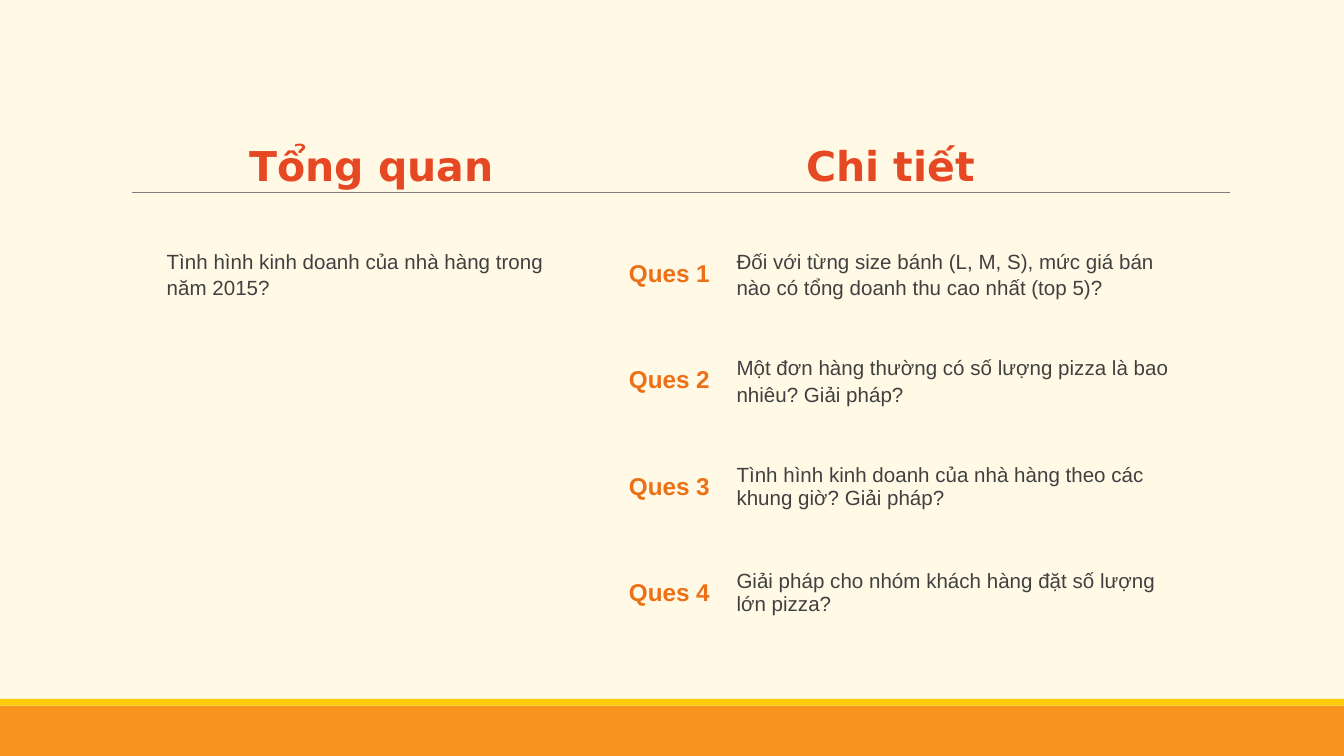
from dataclasses import dataclass

from lxml.etree import SubElement
from pptx import Presentation
from pptx.dml.color import RGBColor
from pptx.enum.shapes import MSO_CONNECTOR, MSO_SHAPE
from pptx.enum.text import MSO_ANCHOR, PP_ALIGN
from pptx.oxml.ns import qn
from pptx.util import Inches, Pt

WIDTH = 10
HEIGHT = WIDTH * 9 / 16
TABLE_LEFT, TABLE_TOP, TABLE_HEIGHT = 1.14, 0.85, 3.96
COLUMNS = (3.25, 0.99, 3.48)
ROW_COUNT = 5
PLAIN_TABLE_STYLE = "{2D5ABB26-0587-4C30-8999-92F81FD0307C}"


@dataclass(frozen=True)
class TextStyle:
    size: float
    font: str
    color: str
    bold: bool
    align: PP_ALIGN


@dataclass(frozen=True)
class Entry:
    row: int
    column: int
    text: str
    style: TextStyle
    spacing: float = 1.0


@dataclass(frozen=True)
class Band:
    top: float
    bottom: float
    color: str


HEADING = TextStyle(22, "DejaVu Sans", "E64823", True, PP_ALIGN.CENTER)
LABEL = TextStyle(13, "Arial", "EC7016", True, PP_ALIGN.RIGHT)
BODY = TextStyle(11, "Arial", "404040", False, PP_ALIGN.LEFT)

BANDS = (Band(5.25, HEIGHT, "F8931D"), Band(5.2, 5.25, "FFCA08"))
QUESTIONS = (
    ("Đối với từng size bánh (L, M, S), mức giá bán nào có tổng doanh thu cao nhất (top 5)?", 1.15),
    ("Một đơn hàng thường có số lượng pizza là bao nhiêu? Giải pháp?", 1.15),
    ("Tình hình kinh doanh của nhà hàng theo các khung giờ? Giải pháp?", 1.0),
    ("Giải pháp cho nhóm khách hàng đặt số lượng lớn pizza?", 1.0),
)


def color(value: str) -> RGBColor:
    return RGBColor.from_string(value)


def draw_band(page, band: Band) -> None:
    shape = page.shapes.add_shape(
        MSO_SHAPE.RECTANGLE, 0, Inches(band.top),
        Inches(WIDTH), Inches(band.bottom - band.top))
    shape.shadow.inherit = False
    shape.fill.solid()
    shape.fill.fore_color.rgb = color(band.color)
    shape.line.fill.background()


def draw_rule(page, left: float, right: float, top: float) -> None:
    rule = page.shapes.add_connector(
        MSO_CONNECTOR.STRAIGHT, Inches(left), Inches(top), Inches(right), Inches(top))
    rule.line.color.rgb = color("808080")
    rule.line.width = Pt(0.5)
    SubElement(rule._element.spPr, qn("a:effectLst"))


def add_plain_table(page):
    frame = page.shapes.add_table(
        ROW_COUNT, len(COLUMNS), Inches(TABLE_LEFT), Inches(TABLE_TOP),
        Inches(sum(COLUMNS)), Inches(TABLE_HEIGHT))
    table = frame.table
    table._tbl.tblPr.find(qn("a:tableStyleId")).text = PLAIN_TABLE_STYLE
    table.first_row = table.horz_banding = False
    for column, width in zip(table.columns, COLUMNS):
        column.width = Inches(width)
    for row in table.rows:
        row.height = Inches(TABLE_HEIGHT / ROW_COUNT)
    margins = ("margin_left", "margin_right", "margin_top", "margin_bottom")
    cell_format = {name: Inches(0.1) for name in margins}
    cell_format["vertical_anchor"] = MSO_ANCHOR.MIDDLE
    for cell in table.iter_cells():
        cell.fill.background()
        for name, value in cell_format.items():
            setattr(cell, name, value)
    return table


def write_entry(table, entry: Entry) -> None:
    style = entry.style
    para = table.cell(entry.row, entry.column).text_frame.paragraphs[0]
    para.alignment = style.align
    para.line_spacing = entry.spacing
    span = para.add_run()
    span.text = entry.text
    span_format = {"size": Pt(style.size), "name": style.font, "bold": style.bold}
    for name, value in span_format.items():
        setattr(span.font, name, value)
    span.font.color.rgb = color(style.color)


def main() -> None:
    deck = Presentation()
    deck.slide_width, deck.slide_height = Inches(WIDTH), Inches(HEIGHT)
    page = deck.slides.add_slide(deck.slide_layouts[6])

    # Background, footer bands and heading rule
    page.background.fill.solid()
    page.background.fill.fore_color.rgb = color("FFF9E6")
    for band in BANDS:
        draw_band(page, band)
    draw_rule(page, 0.98, 9.15, 1.43)

    # Overview column beside the numbered questions
    table = add_plain_table(page)
    table.cell(0, 1).merge(table.cell(0, 2))
    entries = [
        Entry(0, 0, "Tổng quan", HEADING),
        Entry(0, 1, "Chi tiết", HEADING),
        Entry(1, 0, "Tình hình kinh doanh của nhà hàng trong năm 2015?", BODY, 1.15),
    ]
    for number, (question, spacing) in enumerate(QUESTIONS, start=1):
        entries.append(Entry(number, 1, f"Ques {number}", LABEL))
        entries.append(Entry(number, 2, question, BODY, spacing))
    for entry in entries:
        write_entry(table, entry)

    deck.save("out.pptx")


if __name__ == "__main__":
    main()
